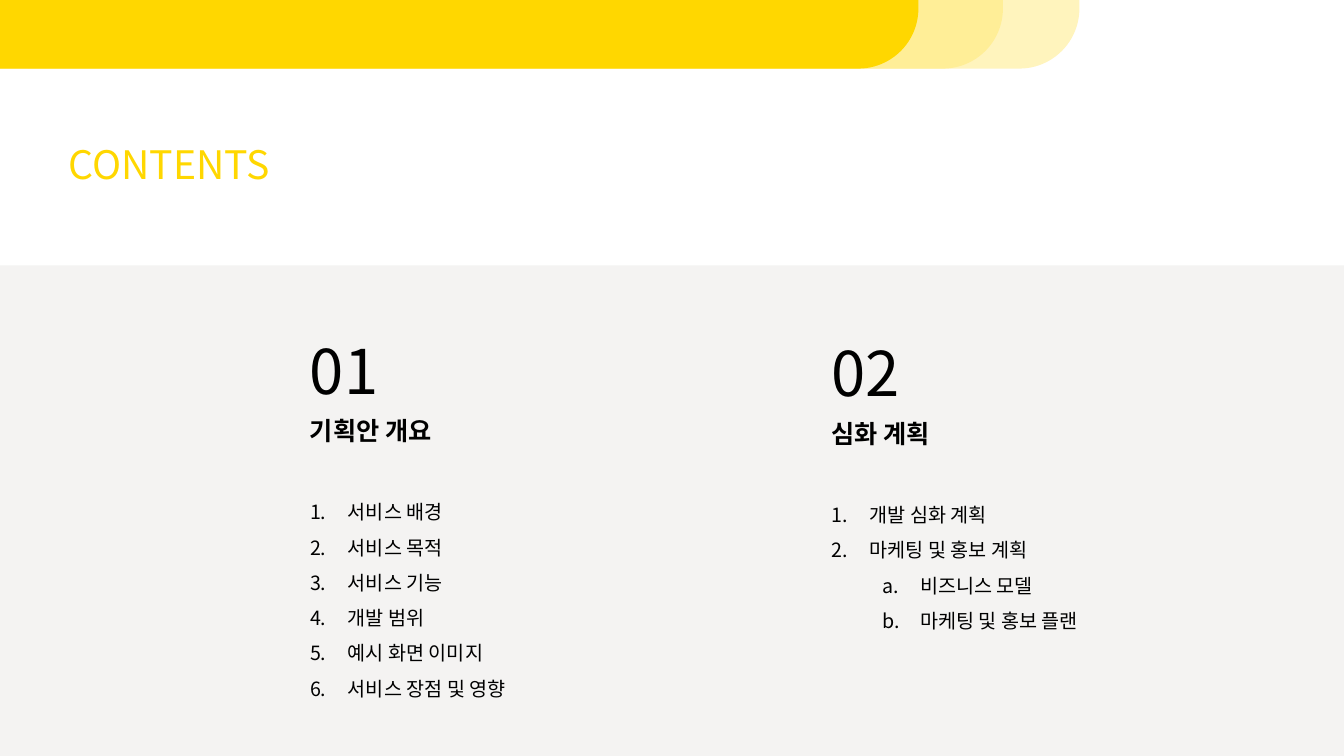
from lxml import etree
from pptx import Presentation
from pptx.dml.color import RGBColor
from pptx.enum.shapes import MSO_SHAPE as Shape
from pptx.enum.text import MSO_ANCHOR as Anchor, MSO_AUTO_SIZE as AutoSize, PP_ALIGN as Align
from pptx.oxml.ns import qn
from pptx.util import Pt

FONT = "Noto Sans CJK KR"
YELLOW, BLACK, GRAY = "FFD700", "000000", "F4F3F2"
FORMATS = {
    "title": {"size": Pt(28), "bold": False},
    "number": {"size": Pt(44), "bold": False},
    "heading": {"size": Pt(18), "bold": True},
    "item": {"size": Pt(14), "bold": False},
}
NUMBERING = ["arabicPeriod", "alphaLcPeriod"]
SLIDE_WIDTH, SLIDE_HEIGHT = 960, 540


def color(hex_string):
    return RGBColor.from_string(hex_string)


def place(shape, left, top, width, height):
    shape.left, shape.top = Pt(left), Pt(top)
    shape.width, shape.height = Pt(width), Pt(height)


def write(para, text, style, ink=BLACK):
    span = para.add_run()
    span.text = text
    for name, value in FORMATS[style].items():
        setattr(span.font, name, value)
    span.font.color.rgb = color(ink)
    span.font.name = FONT
    # East Asian typeface follows the Latin one
    latin = span.font._element.find(qn("a:latin"))
    east_asian = etree.Element(qn("a:ea"), typeface=FONT)
    latin.addnext(east_asian)


def prepare_frame(shape):
    frame = shape.text_frame
    frame.word_wrap = True
    frame.auto_size = AutoSize.NONE
    frame.vertical_anchor = Anchor.TOP
    return frame


def add_label(page, text, style, *box):
    label = page.shapes.add_textbox(*map(Pt, box))
    write(prepare_frame(label).paragraphs[0], text, style)


def add_block(page, kind, fill, *box):
    block = page.shapes.add_shape(kind, *map(Pt, box))
    block.shadow.inherit = False
    block.fill.solid()
    block.fill.fore_color.rgb = color(fill)
    block.line.fill.background()
    return block


def bring_to_front(shape):
    shape.element.getparent().append(shape.element)


def number_paragraph(para, level):
    properties = para._p.get_or_add_pPr()
    properties.set("marL", str(Pt(27 + 36 * level)))
    properties.set("indent", str(Pt(-27)))
    etree.SubElement(properties, qn("a:buFont"), typeface=FONT)
    etree.SubElement(properties, qn("a:buAutoNum"), type=NUMBERING[level])


# Rounded bands running off the top edge, and the gray lower panel
def add_backdrop(page):
    add_block(page, Shape.RECTANGLE, GRAY, 0, 189.5, SLIDE_WIDTH, SLIDE_HEIGHT - 189.5)
    width, height, bottom = 751, 85.7, 49
    for right, fill in [(771, "FFF4BD"), (716.4, "FFEE97"), (656, YELLOW)]:
        band = add_block(page, Shape.ROUND_2_DIAG_RECTANGLE, fill,
                         right - width, bottom - height, width, height)
        band.adjustments[0] = 0.5
        band.adjustments[1] = 0


def add_title(page, *box):
    title = page.shapes.title
    place(title, *box)
    para = prepare_frame(title).paragraphs[0]
    para.alignment = Align.LEFT
    write(para, "CONTENTS", "title", YELLOW)
    bring_to_front(title)


# One chapter: number, heading and numbered list stacked from the top of its box
def add_chapter(page, listing, number, heading, items, left, top, width, height):
    add_label(page, number, "number", left, top, 86.4, 60.5)
    add_label(page, heading, "heading", left, top + 59, 119.5, 29)
    list_top = 111.3
    place(listing, left, top + list_top, width, height - list_top)
    frame = prepare_frame(listing)
    for index, (level, text) in enumerate(items):
        para = frame.add_paragraph() if index else frame.paragraphs[0]
        para.level = level
        number_paragraph(para, level)
        para.line_spacing = 1.5
        para.space_before = Pt(0)
        write(para, text, "item")
    bring_to_front(listing)


def main():
    deck = Presentation()
    deck.slide_width, deck.slide_height = Pt(SLIDE_WIDTH), Pt(SLIDE_HEIGHT)
    page = deck.slides.add_slide(deck.slide_layouts.get_by_name("Two Content"))
    add_backdrop(page)
    add_title(page, 42, 96.7, 221, 41.2)

    overview = [(0, "서비스 배경"), (0, "서비스 목적"), (0, "서비스 기능"),
                (0, "개발 범위"), (0, "예시 화면 이미지"), (0, "서비스 장점 및 영향")]
    advanced = [(0, "개발 심화 계획"), (0, "마케팅 및 홍보 계획"),
                (1, "비즈니스 모델"), (1, "마케팅 및 홍보 플랜")]
    add_chapter(page, page.placeholders[1], "01", "기획안 개요", overview,
                214.3, 234, 185, 269)
    add_chapter(page, page.placeholders[2], "02", "심화 계획", advanced,
                587, 236, 205, 218.6)
    deck.save("out.pptx")


if __name__ == "__main__":
    main()
